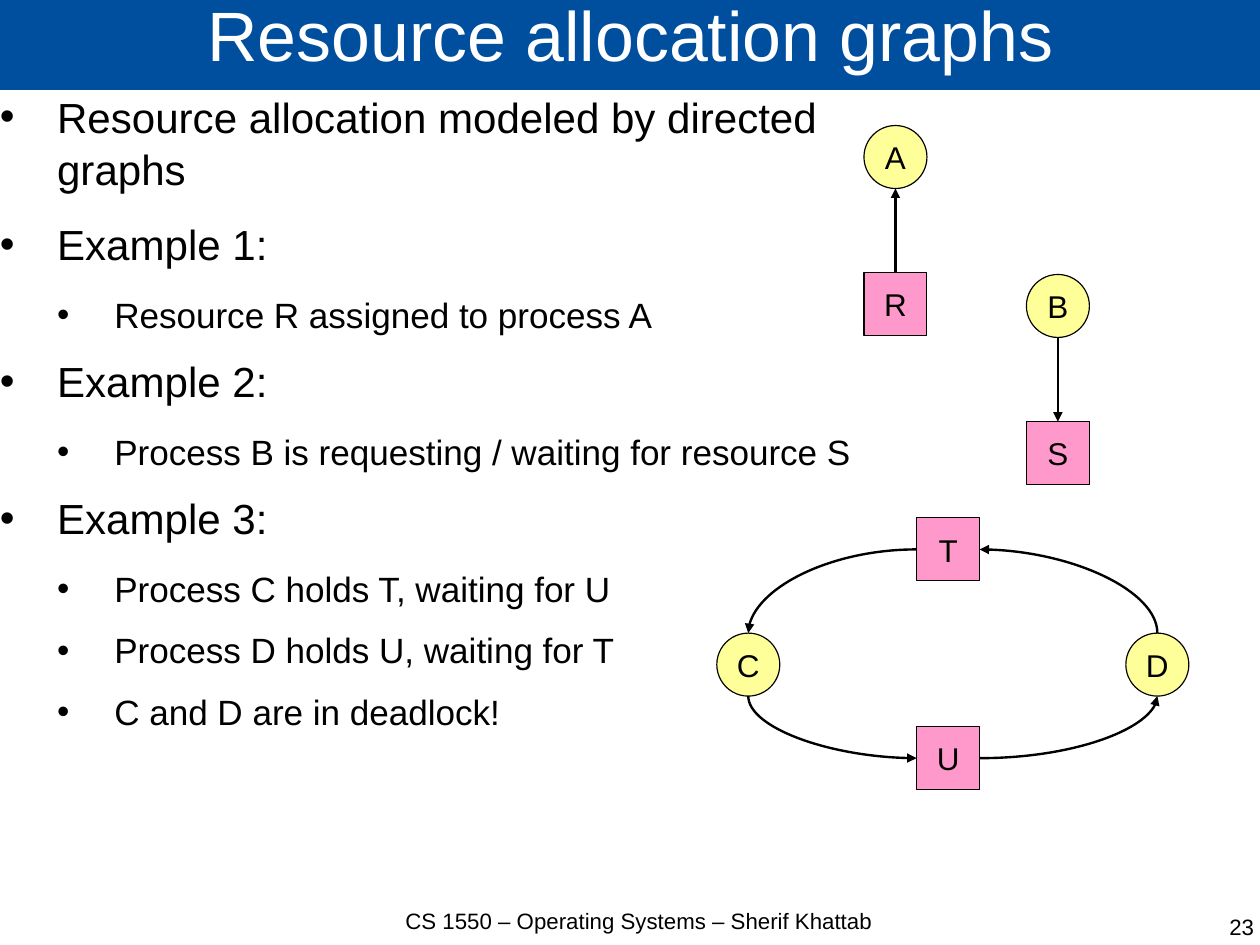
from lxml.etree import SubElement
from pptx import Presentation
from pptx.dml.color import RGBColor
from pptx.enum.shapes import MSO_CONNECTOR as CONN, MSO_SHAPE as SHAPE
from pptx.enum.text import MSO_ANCHOR as ANCHOR, PP_ALIGN as ALIGN
from pptx.oxml.ns import qn
from pptx.util import Cm, Pt

COLORS = {"title": "004F9E", "white": "FFFFFF", "black": "000000",
          "resource": "FF99CC", "process": "FFFF99"}
NODE = 1.4  # side of a node in cm
TOP, LEFT, BOTTOM, RIGHT = range(4)

BULLETS = [
    (0, "Resource allocation modeled by directed graphs"),
    (0, "Example 1:"),
    (1, "Resource R assigned to process A"),
    (0, "Example 2:"),
    (1, "Process B is requesting / waiting for resource S"),
    (0, "Example 3:"),
    (1, "Process C holds T, waiting for U"),
    (1, "Process D holds U, waiting for T"),
    (1, "C and D are in deadlock!"),
]
RESOURCES = {"R": (19.2, 6.05), "S": (22.81, 9.37),
             "T": (20.37, 11.51), "U": (20.37, 16.15)}
PROCESSES = {"A": (19.2, 2.79), "B": (22.81, 6.1),
             "C": (15.93, 14.07), "D": (25.02, 14.07)}
# resource, its side, process, its side, is the resource held by the process
EDGES = [
    ("R", TOP, "A", BOTTOM, True),
    ("S", TOP, "B", BOTTOM, False),
    ("T", LEFT, "C", TOP, True),
    ("T", RIGHT, "D", TOP, False),
    ("U", RIGHT, "D", BOTTOM, True),
    ("U", LEFT, "C", BOTTOM, False),
]


def rgb(name):
    return RGBColor.from_string(COLORS[name])


def write(p, text, size, color="black", font="Arial", align=None):
    r = p.add_run()
    r.text = text
    r.font.size, r.font.name = Pt(size), font
    r.font.color.rgb = rgb(color)
    p.alignment = align


def side_point(sp, side):
    x, y = [(1, 0), (0, 1), (1, 2), (2, 1)][side]
    return sp.left + sp.width * x // 2, sp.top + sp.height * y // 2


class GraphSlide:
    def __init__(self, prs):
        self.s = prs.slides.add_slide(prs.slide_layouts[5])
        self.shapes = self.s.shapes

    def place(self, sp, left, top, width, height):
        sp.left, sp.top, sp.width, sp.height = map(Cm, (left, top, width, height))

    def clear_insets(self, tf):
        tf.margin_left = tf.margin_top = tf.margin_right = tf.margin_bottom = 0
        tf.word_wrap = True

    def title(self, text):
        sp = self.shapes.title
        self.place(sp, 0, -0.05, 28.04, 2.05)
        sp.fill.solid()
        sp.fill.fore_color.rgb = rgb("title")
        tf = sp.text_frame
        self.clear_insets(tf)
        tf.vertical_anchor = ANCHOR.MIDDLE
        p = tf.paragraphs[0]
        p.line_spacing = 0.69
        write(p, text, 44, "white", align=ALIGN.CENTER)

    def text_box(self, left, top, width, height):
        tf = self.shapes.add_textbox(*map(Cm, (left, top, width, height))).text_frame
        self.clear_insets(tf)
        return tf

    def label(self, text, box, align):
        write(self.text_box(*box).paragraphs[0], text, 14, align=align)

    def bullets(self, items, box):
        tf = self.text_box(*box)
        for i, (level, text) in enumerate(items):
            p = tf.add_paragraph() if i else tf.paragraphs[0]
            p.level = level
            p.line_spacing = 1.04
            p.space_after = Pt((14.2, 11.4)[level])
            write(p, text, (26.5, 22.1)[level])
            pPr = p._p.get_or_add_pPr()
            pPr.set("marL", str(Cm(1.27 * (level + 1))))
            pPr.set("indent", str(Cm(-1.27)))
            SubElement(pPr, qn("a:buFont"), typeface="Arial")
            SubElement(pPr, qn("a:buChar"), char="•")

    def node(self, name, left, top, kind, color):
        sp = self.shapes.add_shape(kind, *map(Cm, (left, top, NODE, NODE)))
        sp.shadow.inherit = False
        sp.fill.solid()
        sp.fill.fore_color.rgb = rgb(color)
        sp.line.color.rgb = rgb("black")
        sp.line.width = Pt(0.75)
        tf = sp.text_frame
        tf.word_wrap = False
        tf.vertical_anchor = ANCHOR.MIDDLE
        write(tf.paragraphs[0], name, 19.8, align=ALIGN.CENTER)
        return sp

    def edge(self, resource, side, process, process_side, held):
        """Join resource to process; the arrow points at the process if held."""
        straight = side in (TOP, BOTTOM)
        c = self.shapes.add_connector(
            CONN.STRAIGHT if straight else CONN.CURVE,
            *side_point(resource, side), *side_point(process, process_side))
        c.line.color.rgb = rgb("black")
        c.line.width = Pt(1.5)
        spPr = c._element.spPr
        if straight:
            c.begin_connect(resource, side)
        else:
            spPr.find(qn("a:prstGeom")).set("prst", "curvedConnector2")
        SubElement(spPr.find(qn("a:ln")), qn("a:tailEnd" if held else "a:headEnd"),
                   type="triangle")
        SubElement(spPr, qn("a:effectLst"))


def main():
    prs = Presentation()
    prs.slide_width, prs.slide_height = Cm(28), Cm(21)
    s = GraphSlide(prs)
    s.title("Resource allocation graphs")
    s.bullets(BULLETS, (0, 1.98, 18.95, 18.24))
    s.label("CS 1550 – Operating Systems – Sherif Khattab",
            (7.8, 20.17, 12.8, 1.4), ALIGN.CENTER)
    s.label("23", (21.44, 20.29, 6.43, 1.4), ALIGN.RIGHT)
    nodes = {}
    for group, kind, color in ((RESOURCES, SHAPE.RECTANGLE, "resource"),
                               (PROCESSES, SHAPE.OVAL, "process")):
        for name, (left, top) in group.items():
            nodes[name] = s.node(name, left, top, kind, color)
    for resource, side, process, process_side, held in EDGES:
        s.edge(nodes[resource], side, nodes[process], process_side, held)
    prs.save("out.pptx")


if __name__ == "__main__":
    main()
